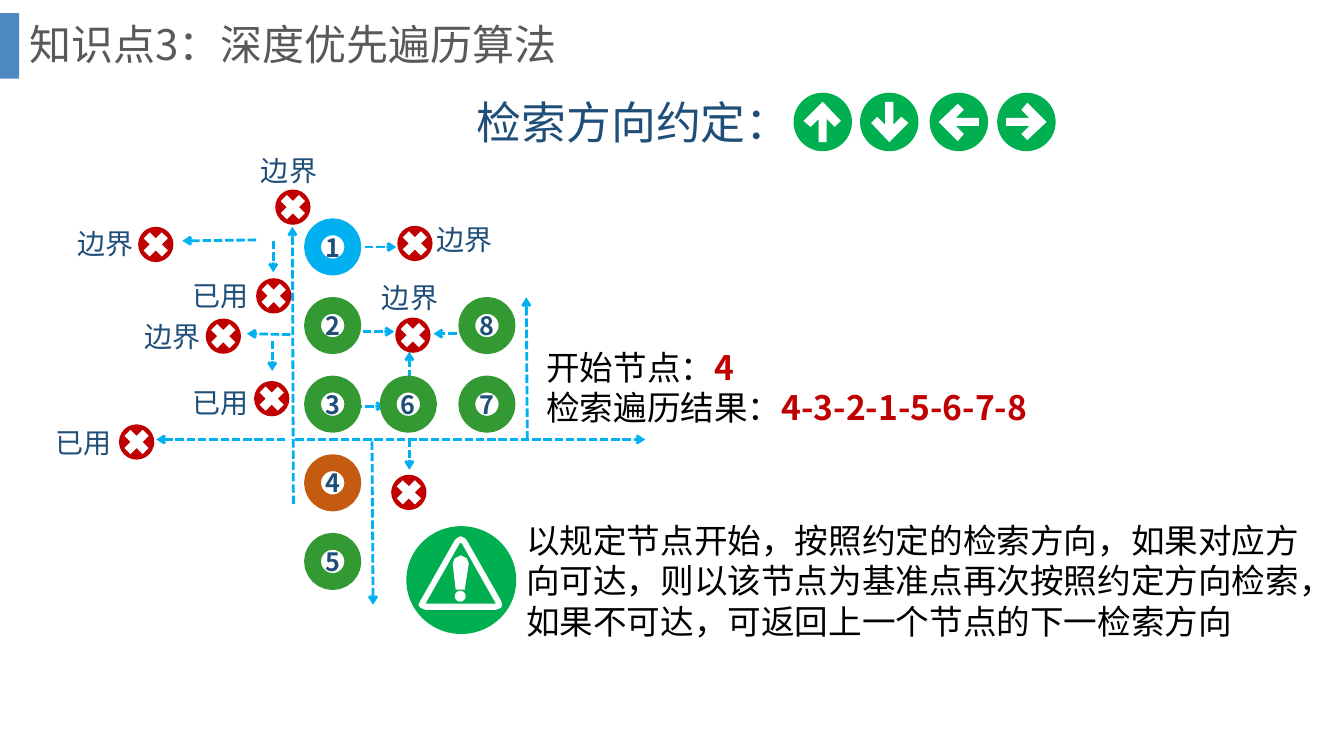
from lxml import etree
from pptx import Presentation
from pptx import util as u
from pptx.dml.color import RGBColor
from pptx.enum import dml, shapes, text
from pptx.oxml import ns

PX = 9144
FONT = "Noto Sans CJK SC"
WHITE = RGBColor(0xFF, 0xFF, 0xFF)
BLACK = RGBColor(0x00, 0x00, 0x00)
GRAY = RGBColor(0x59, 0x59, 0x59)
NAVY = RGBColor(0x1F, 0x4E, 0x79)
BAR_BLUE = RGBColor(0x2E, 0x75, 0xB6)
SKY = RGBColor(0x00, 0xB0, 0xF0)
GREEN = RGBColor(0x00, 0xB0, 0x50)
NODE_GREEN = RGBColor(0x33, 0x99, 0x33)
ORANGE = RGBColor(0xC5, 0x5A, 0x11)
RED = RGBColor(0xC0, 0x00, 0x00)

LEFT_ARROW = [(5, -12), (-1, -18), (-20, 0), (-1, 19), (5, 12),
              (-3, 4), (20, 4), (20, -4), (-3, -4)]
CROSS_ARM = [(0, -6), (6, -12), (12, -6)]
CROSS_SIZE = 35
NODE_SIZE = 40
NODE_COLUMNS = (270, 345, 423)
NODE_TOP, NODE_STEP = 85, 78
NODES = [("1", 0, 0, SKY), ("2", 0, 1, NODE_GREEN), ("3", 0, 2, NODE_GREEN),
         ("4", 0, 3, ORANGE), ("5", 0, 4, NODE_GREEN), ("6", 1, 2, NODE_GREEN),
         ("7", 2, 2, NODE_GREEN), ("8", 2, 1, NODE_GREEN)]
CROSSES = [(233, 48), (214, 136), (97, 85), (164, 176), (352, 175),
           (212, 238), (78, 281), (348, 331), (354, 84)]
LABELS = [("边界", 209, 7), ("已用", 141, 131), ("边界", 27, 80),
          ("边界", 93, 172), ("边界", 329, 133), ("已用", 141, 238),
          ("已用", 5, 277), ("边界", 383, 76)]
ARROWS = [(311, 263, 342, 263), (251, 360, 250, 85), (231, 99, 231, 130),
          (214, 98, 141, 99), (253, 296, 600, 296), (248, 192, 205, 191),
          (320, 189, 351, 189), (413, 191, 390, 191), (366, 235, 366, 209),
          (230, 198, 230, 228), (243, 296, 115, 296), (366, 295, 366, 326),
          (483, 296, 482, 155), (329, 298, 330, 460), (322, 105, 353, 105)]
WARNING_OUTLINE = [(40, 20), (6, -40), (4, -42), (0, -44), (-4, -42), (-6, -40),
                   (-40, 20), (-42, 24), (-40, 27), (-35, 29), (35, 29),
                   (40, 27), (41, 24)]
WARNING_INSIDE = [(35, 23), (-35, 23), (-1, -37), (1, -37)]
WARNING_MARK = [(-8, -17), (-6, -22), (0, -25), (6, -22), (8, -17), (4, 9), (-5, 9)]


def turn(points, quarters):
    for _ in range(quarters):
        points = [(-y, x) for x, y in points]
    return points


def add_run(paragraph, words, size, color, bold=False):
    run = paragraph.add_run()
    run.text = words
    run.font.size = u.Pt(size)
    run.font.name = FONT
    run.font.bold = bold
    run.font.color.rgb = color
    east_asian = etree.SubElement(run.font._element, ns.qn("a:ea"))
    east_asian.set("typeface", FONT)


def add_text(slide, left, top, width, height, lines, size):
    box = slide.shapes.add_textbox(left * PX, top * PX, width * PX, height * PX)
    frame = box.text_frame
    frame.word_wrap = True
    frame.auto_size = text.MSO_AUTO_SIZE.SHAPE_TO_FIT_TEXT
    for index, runs in enumerate(lines):
        paragraph = frame.add_paragraph() if index else frame.paragraphs[0]
        for words, color, bold in runs:
            add_run(paragraph, words, size, color, bold)


def paint(shape, color):
    shape.shadow.inherit = False
    shape.fill.solid()
    shape.fill.fore_color.rgb = color
    shape.line.fill.background()
    return shape


def add_preset(slide, kind, left, top, width, height, color):
    return paint(slide.shapes.add_shape(
        kind, left * PX, top * PX, width * PX, height * PX), color)


def add_circle(slide, left, top, width, height, color):
    return add_preset(slide, shapes.MSO_SHAPE.OVAL, left, top, width, height, color)


def add_outline(slide, center_x, center_y, contours, color):
    builder = slide.shapes.build_freeform(*contours[0][0], scale=PX)
    builder.add_line_segments(contours[0][1:], close=True)
    for contour in contours[1:]:
        builder.move_to(*contour[0])
        builder.add_line_segments(contour[1:], close=True)
    return paint(builder.convert_to_shape(round(center_x * PX), round(center_y * PX)), color)


def add_arrow(slide, start_x, start_y, end_x, end_y):
    arrow = slide.shapes.add_connector(
        shapes.MSO_CONNECTOR.STRAIGHT,
        start_x * PX, start_y * PX, end_x * PX, end_y * PX)
    arrow.line.color.rgb = SKY
    arrow.line.width = u.Pt(2)
    arrow.line.dash_style = dml.MSO_LINE.SQUARE_DOT
    properties = arrow._element.spPr
    tail = etree.SubElement(properties.find(ns.qn("a:ln")), ns.qn("a:tailEnd"))
    tail.set("type", "arrow")
    etree.SubElement(properties, ns.qn("a:effectLst"))


def add_cross(slide, left, top):
    add_circle(slide, left, top, CROSS_SIZE, CROSS_SIZE, RED)
    outline = [point for quarter in range(4) for point in turn(CROSS_ARM, quarter)]
    add_outline(slide, left + CROSS_SIZE / 2, top + CROSS_SIZE / 2, [outline], WHITE)


def add_node(slide, left, top, number, color):
    node = add_circle(slide, left, top, NODE_SIZE, NODE_SIZE, WHITE)
    node.line.color.rgb = color
    node.line.width = u.Pt(12)
    frame = node.text_frame
    frame.margin_left = frame.margin_right = frame.margin_top = frame.margin_bottom = 0
    frame.word_wrap = False
    frame.vertical_anchor = text.MSO_ANCHOR.MIDDLE
    paragraph = frame.paragraphs[0]
    paragraph.alignment = text.PP_ALIGN.CENTER
    add_run(paragraph, number, 18, NAVY, True)


def build_title(slide, left, top, width, height):
    bar = add_preset(slide, shapes.MSO_SHAPE.RECTANGLE, left, top + 13, 19, 65, BAR_BLUE)
    color = bar._element.spPr.find(ns.qn("a:solidFill"))[0]
    etree.SubElement(color, ns.qn("a:alpha")).set("val", "85000")
    title = slide.shapes.title
    title.left, title.top = (left + 19) * PX, top * PX
    title.width, title.height = (width - 19) * PX, height * PX
    title.text_frame.vertical_anchor = text.MSO_ANCHOR.MIDDLE
    paragraph = title.text_frame.paragraphs[0]
    paragraph.alignment = text.PP_ALIGN.LEFT
    paragraph.line_spacing = 0.9
    add_run(paragraph, "知识点3：深度优先遍历算法", 30, GRAY)


def build_directions(slide, left, top):
    add_text(slide, left, top, 354, 64, [[("检索方向约定：", NAVY, False)]], 32)
    for offset, quarters in ((324, 1), (390, 3), (459, 0), (526, 2)):
        add_circle(slide, left + offset, top + 3, 58, 58, GREEN)
        add_outline(slide, left + offset + 29, top + 32,
                    [turn(LEFT_ARROW, quarters)], WHITE)


def build_search_map(slide, left, top):
    for start_x, start_y, end_x, end_y in ARROWS:
        add_arrow(slide, left + start_x, top + start_y, left + end_x, top + end_y)
    for number, column, row, color in NODES:
        add_node(slide, left + NODE_COLUMNS[column],
                 top + NODE_TOP + row * NODE_STEP, number, color)
    for x, y in CROSSES:
        add_cross(slide, left + x, top + y)
    for words, x, y in LABELS:
        add_text(slide, left + x, top + y, 98, 44, [[(words, NAVY, False)]], 20)


def build_result(slide, left, top, width, height):
    add_text(slide, left, top, width, height, [
        [("开始节点：", BLACK, False), ("4", RED, True)],
        [("检索遍历结果：", BLACK, False), ("4-3-2-1-5-6-7-8", RED, True)],
    ], 24)


def build_rule(slide, left, top, width, height):
    add_circle(slide, left, top + 11, 109, 107, GREEN)
    center_x, center_y = left + 54, top + 65
    add_outline(slide, center_x, center_y,
                [WARNING_OUTLINE, WARNING_INSIDE, WARNING_MARK], WHITE)
    add_circle(slide, center_x - 6, center_y + 10, 11, 11, WHITE)
    rule = ("以规定节点开始，按照约定的检索方向，如果对应方向可达，"
            "则以该节点为基准点再次按照约定方向检索，"
            "如果不可达，可返回上一个节点的下一检索方向")
    add_text(slide, left + 109, top, width - 109, height, [[(rule, BLACK, False)]], 24)


def main():
    presentation = Presentation()
    presentation.slide_width, presentation.slide_height = 1333 * PX, 750 * PX
    slide = presentation.slides.add_slide(presentation.slide_layouts[5])
    build_title(slide, 0, 0, 1285, 93)
    build_directions(slide, 463, 89)
    build_search_map(slide, 40, 140)
    build_result(slide, 532, 339, 695, 91)
    build_rule(slide, 403, 511, 926, 131)
    presentation.save("out.pptx")


if __name__ == "__main__":
    main()
